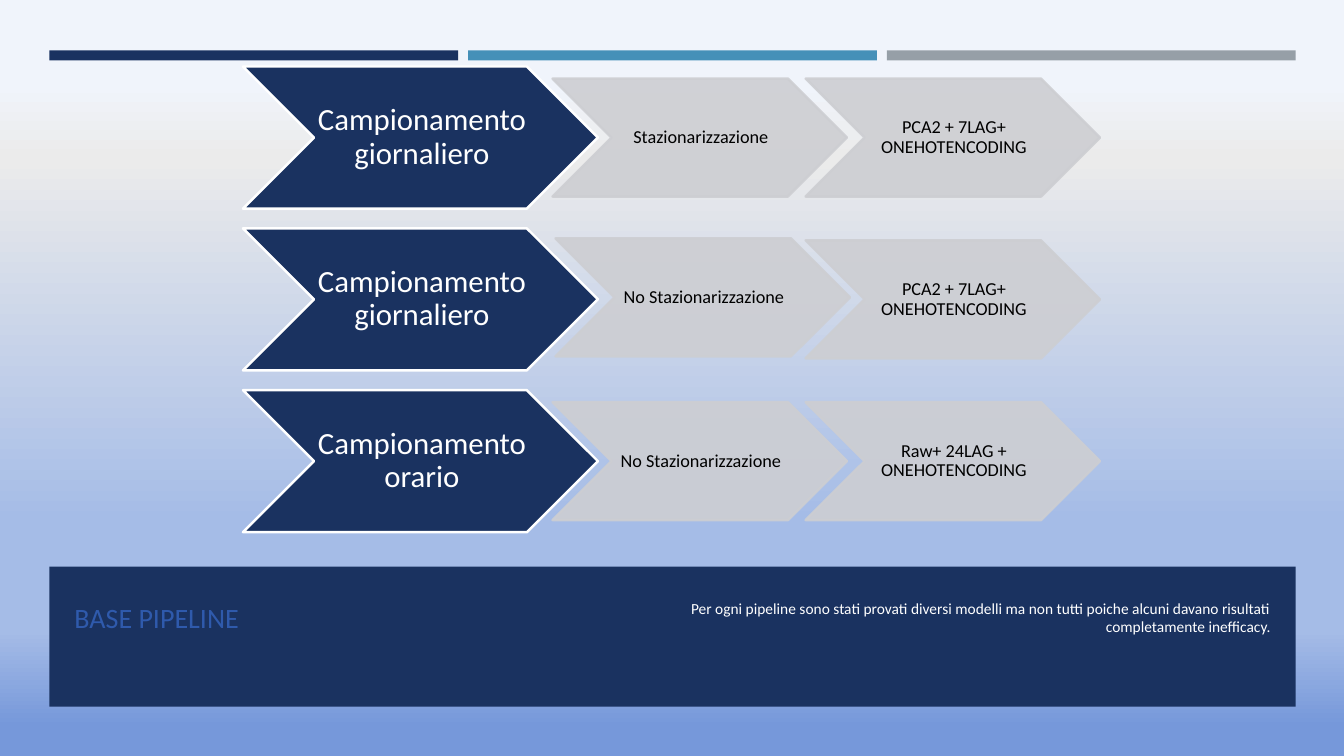
"""Build the base pipeline slide: three chevron rows above a title band."""
from lxml import etree
from pptx import Presentation
from pptx.dml.color import RGBColor
from pptx.enum.shapes import MSO_SHAPE
from pptx.enum.text import MSO_ANCHOR, PP_ALIGN
from pptx.oxml.ns import qn
from pptx.util import Inches, Pt

RECT, CHEVRON = MSO_SHAPE.RECTANGLE, MSO_SHAPE.CHEVRON
MIDDLE = MSO_ANCHOR.MIDDLE
LEFT, CENTER, RIGHT = PP_ALIGN.LEFT, PP_ALIGN.CENTER, PP_ALIGN.RIGHT

COLORS = {
    "navy": "1A3260", "teal": "4590B8", "gray": "969FA7", "pale": "CDCED2",
    "title": "2F5AAC", "white": "FFFFFF", "black": "000000",
}
STOPS = [(11, "F0F4FB"), (21, "EBEBEB"), (69, "A5BCE7"), (84, "A3BAE6"), (96, "7698DA")]
ROWS = [
    ("Campionamento giornaliero", "Stazionarizzazione", "PCA2 + 7LAG+ ONEHOTENCODING"),
    ("Campionamento giornaliero", "No Stazionarizzazione", "PCA2 + 7LAG+ ONEHOTENCODING"),
    ("Campionamento orario", "No Stazionarizzazione", "Raw+ 24LAG + ONEHOTENCODING"),
]
SHIFTS = {(1, 0): (0.03, -0.02)}


def rgb(name):
    """Return the named colour."""
    return RGBColor.from_string(COLORS[name])


def paint(slide):
    """Fill the background with the vertical gradient."""
    fill = slide.background.fill
    fill.gradient()
    fill.gradient_angle = 270
    stops = slide.element.find(".//" + qn("a:gsLst"))
    for old in list(stops):
        stops.remove(old)
    for pos, color in STOPS:
        stop = etree.SubElement(stops, qn("a:gs"), pos=str(pos * 1000))
        etree.SubElement(stop, qn("a:srgbClr"), val=color)


def write(shape, text, size, color, align, inset):
    """Put one formatted, vertically centred paragraph in a shape."""
    frame = shape.text_frame
    frame.word_wrap = True
    frame.vertical_anchor = MIDDLE
    sides = ("left", "top", "right", "bottom")
    for side, gap in zip(sides, inset):
        setattr(frame, "margin_" + side, Inches(gap))
    par = frame.paragraphs[0]
    par.text = text
    par.alignment = align
    font = par.runs[0].font
    font.name, font.size = "Calibri", Pt(size)
    font.color.rgb = rgb(color)
    return par


def draw(slide, kind, box, fill):
    """Add a filled shape without outline or shadow."""
    shape = slide.shapes.add_shape(kind, *map(Inches, box))
    shape.shadow.inherit = False
    shape.fill.solid()
    shape.fill.fore_color.rgb = rgb(fill)
    shape.line.fill.background()
    return shape


def arrow(slide, box, text, lead):
    """Add a lead or a translucent step chevron with its label."""
    fill, edge, size, color = (
        ("navy", "white", 22, "white") if lead else ("pale", "pale", 13, "black"))
    shape = draw(slide, CHEVRON, box, fill)
    shape.line.color.rgb = rgb(edge)
    shape.line.width = Pt(1.75)
    if not lead:
        for tint in shape.element.spPr.iter(qn("a:srgbClr")):
            etree.SubElement(tint, qn("a:alpha"), val="90000")
    inset = (0.03, 0.02, 0, 0.02) if lead else (0.02, 0.01, 0, 0.01)
    par = write(shape, text, size, color, CENTER, inset)
    par.line_spacing = 0.9


def bars(slide, left, top, width):
    """Add the three coloured bars along the top."""
    gap = 0.1
    size = (width - 2 * gap) / 3
    for i, color in enumerate(("navy", "teal", "gray")):
        draw(slide, RECT, (left + i * (size + gap), top, size, 0.1), color)


def flow(slide, left, top, pitch):
    """Add the rows of chevrons, each with a lead and two steps."""
    for row, (head, *steps) in enumerate(ROWS):
        y = top + row * pitch
        arrow(slide, (left, y, 3.52, 1.41), head, True)
        for col, text in enumerate(steps):
            dx, dy = SHIFTS.get((row, col), (0, 0))
            x = left + 3.07 + col * 2.51 + dx
            arrow(slide, (x, y + 0.12 + dy, 2.92, 1.17), text, False)


def band(slide, left, top, width, height):
    """Add the bottom band with the title and the note."""
    draw(slide, RECT, (left, top, width, height), "navy")
    note = ("Per ogni pipeline sono stati provati diversi modelli ma non tutti "
            "poiche alcuni davano risultati completamente inefficacy.")
    for x, wide, text, size, color, align in (
            (0.15, 5.37, "BASE PIPELINE", 20, "title", LEFT),
            (5.79, 6.42, note, 11, "white", RIGHT)):
        box = slide.shapes.add_textbox(
            *map(Inches, (left + x, top + 0.13, wide, 0.75)))
        write(box, text, size, color, align, (0.1, 0.05, 0.1, 0.05))


def main():
    """Create the slide and save it."""
    deck = Presentation()
    deck.slide_width, deck.slide_height = Inches(13.33), Inches(7.5)
    slide = deck.slides.add_slide(deck.slide_layouts[6])
    paint(slide)
    bars(slide, 0.49, 0.5, 12.36)
    band(slide, 0.49, 5.62, 12.36, 1.39)
    flow(slide, 2.41, 0.66, 3.21 / 2)
    deck.save("out.pptx")


if __name__ == "__main__":
    main()
